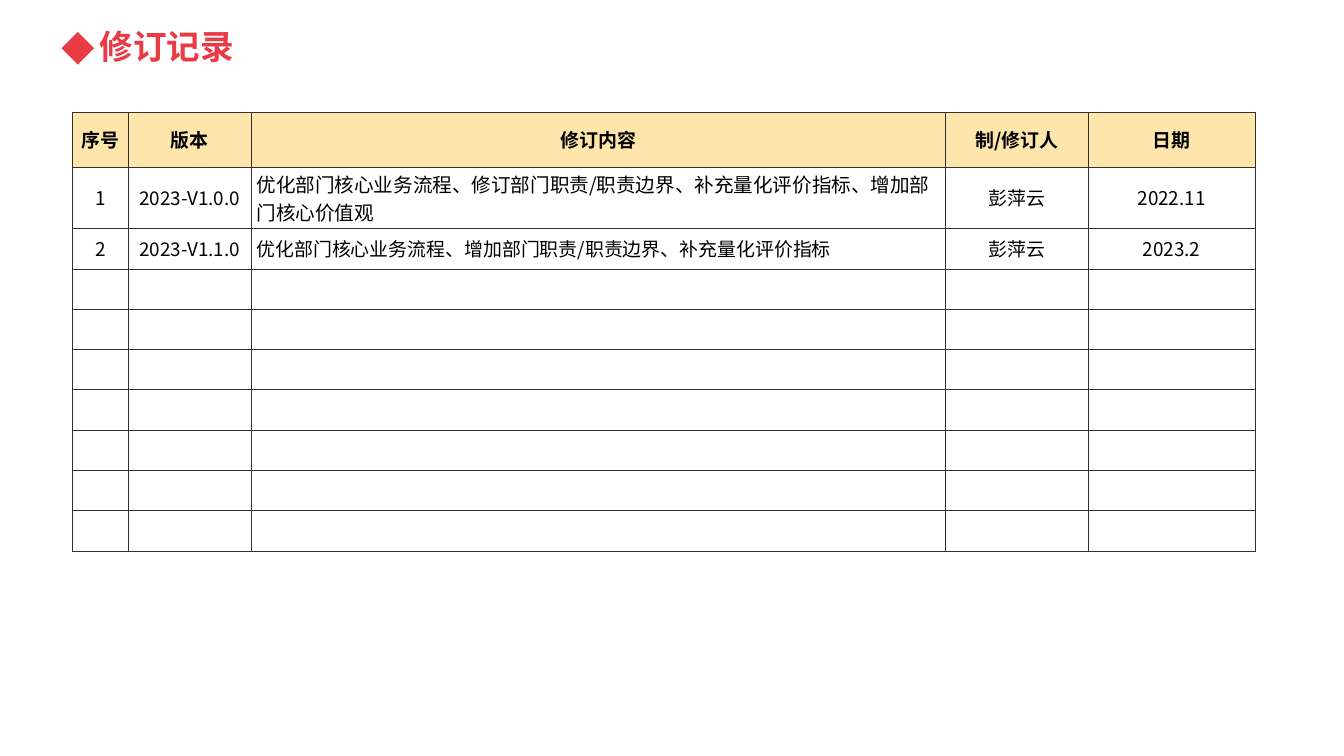
from lxml import etree
from pptx import Presentation
from pptx.dml.color import RGBColor
from pptx.enum import text
from pptx.oxml import ns
from pptx.util import Emu, Pt

PX = 9144
FONT = "Noto Sans CJK SC"
RED, BLACK, CREAM, BORDER = "E83B45", "000000", "FDE5AC", "352F30"


def px(length):
    return Emu(length * PX)


def color(value):
    return RGBColor.from_string(value)


def write(frame, content, size=27, fill=BLACK, bold=False, align=text.PP_ALIGN.CENTER):
    paragraph = frame.paragraphs[0]
    paragraph.alignment = align
    run = paragraph.add_run()
    run.text = content
    run.font.size = Pt(size)
    run.font.bold = bold
    run.font.color.rgb = color(fill)
    run.font.name = FONT
    etree.SubElement(run.font._element, ns.qn("a:ea"), typeface=FONT)
    return paragraph


class RevisionSlide:
    """Holds the current slide and draws its styled elements."""

    def __init__(self, deck):
        self.slide = deck.slides.add_slide(deck.slide_layouts[5])

    def title(self, content, left, top, width, height, indent):
        heading = self.slide.shapes.title
        heading.left, heading.top = px(left), px(top)
        heading.width, heading.height = px(width), px(height)
        frame = heading.text_frame
        frame.auto_size = text.MSO_AUTO_SIZE.NONE
        frame.word_wrap = True
        frame.vertical_anchor = text.MSO_ANCHOR.MIDDLE
        paragraph = write(frame, content, size=48, fill=RED, bold=True,
                          align=text.PP_ALIGN.LEFT)
        paragraph.line_spacing = 0.9
        properties = paragraph._p.get_or_add_pPr()
        properties.set("marL", str(px(indent)))
        properties.set("indent", str(-px(indent)))
        etree.SubElement(properties, ns.qn("a:buFont"), typeface=FONT)
        etree.SubElement(properties, ns.qn("a:buChar"), char="◆")

    def border(self, cell):
        properties = cell._tc.get_or_add_tcPr()
        for position, side in enumerate(("lnL", "lnR", "lnT", "lnB")):
            line = etree.Element(ns.qn(f"a:{side}"), w=str(Pt(1)))
            solid = etree.SubElement(line, ns.qn("a:solidFill"))
            etree.SubElement(solid, ns.qn("a:srgbClr"), val=BORDER)
            properties.insert(position, line)

    def table(self, headers, records, left, top, widths, heights):
        grid = self.slide.shapes.add_table(
            len(heights), len(widths), px(left), px(top),
            px(sum(widths)), px(sum(heights))).table
        grid.first_row = grid.horz_banding = False
        for column, width in zip(grid.columns, widths):
            column.width = px(width)
        for row, height in zip(grid.rows, heights):
            row.height = px(height)
        for cell in grid.iter_cells():
            cell.vertical_anchor = text.MSO_ANCHOR.MIDDLE
            cell.fill.background()
            self.border(cell)
        for column, header in enumerate(headers):
            cell = grid.cell(0, column)
            cell.fill.solid()
            cell.fill.fore_color.rgb = color(CREAM)
            write(cell.text_frame, header, bold=True)
        for row, (version, change, size, author, date) in enumerate(records, 1):
            for column, value in enumerate((str(row), version, change, author, date)):
                style = {}
                if value == change:
                    style = {"size": size, "align": text.PP_ALIGN.LEFT}
                write(grid.cell(row, column).text_frame, value, **style)


def main():
    deck = Presentation()
    deck.slide_width, deck.slide_height = px(2667), px(1500)
    revisions = RevisionSlide(deck)
    revisions.title("修订记录", 113, 50, 1473, 93, indent=75)
    revisions.table(
        ("序号", "版本", "修订内容", "制/修订人", "日期"),
        (
            ("2023-V1.0.0",
             "优化部门核心业务流程、修订部门职责/职责边界、补充量化评价指标、增加部门核心价值观",
             28, "彭萍云", "2022.11"),
            ("2023-V1.1.0",
             "优化部门核心业务流程、增加部门职责/职责边界、补充量化评价指标",
             27, "彭萍云", "2023.2"),
        ),
        144, 222, widths=(110, 245, 1377, 283, 332), heights=[109] + [80] * 9)
    deck.save("out.pptx")


if __name__ == "__main__":
    main()
